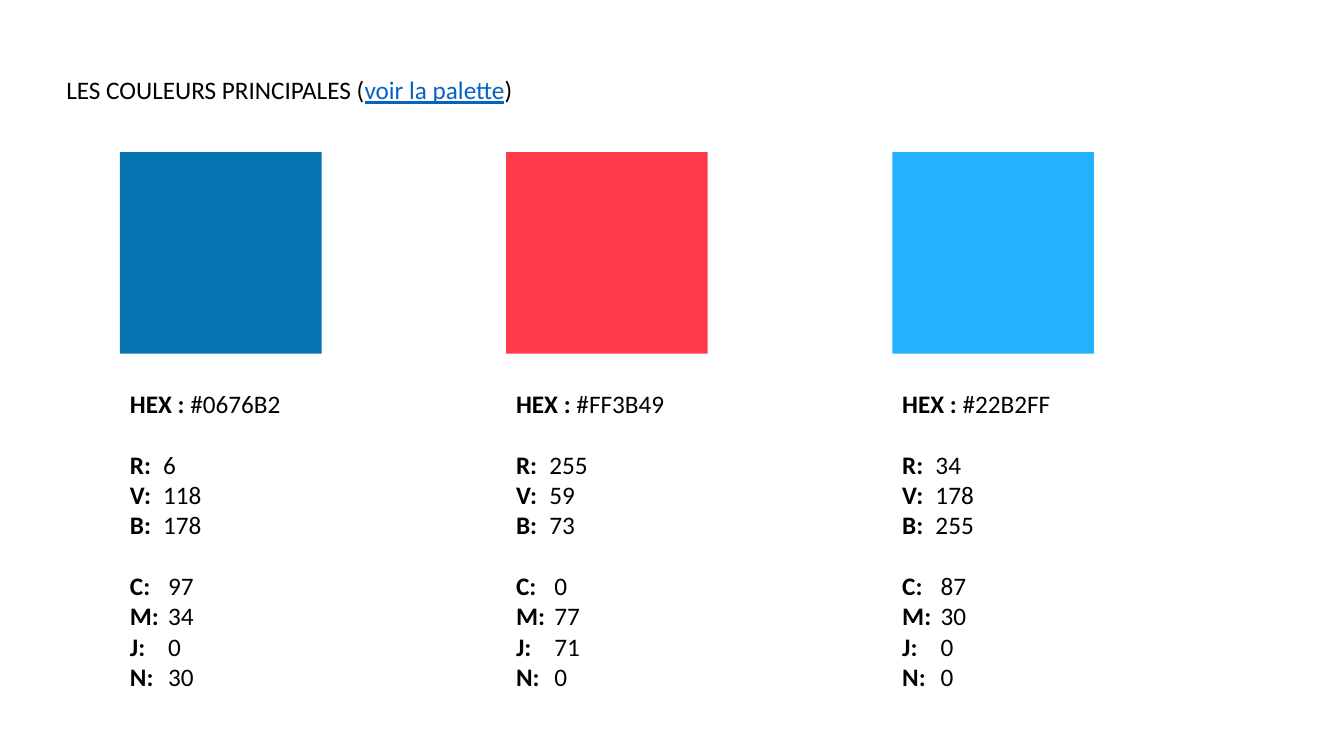
"""Build the slide of the three main colours with their HEX, RVB and CMJN values."""
import dataclasses

import lxml.etree
import pptx
import pptx.dml.color
import pptx.enum.shapes
import pptx.oxml.ns
import pptx.util

Inches = pptx.util.Inches


@dataclasses.dataclass
class Theme:
    font: str = "Calibri"
    size: int = 18
    line_gap: int = 22
    text: str = "000000"
    link: str = "0563C1"


theme = Theme()


def add_text_box(page, left, top, width, height):
    box = page.shapes.add_textbox(Inches(left), Inches(top), Inches(width), Inches(height))
    box.text_frame.word_wrap = True
    return box.text_frame


def add_span(para, text, color=theme.text, bold=False, underline=False):
    span = para.add_run()
    span.text = text
    span.font.name = theme.font
    span.font.size = pptx.util.Pt(theme.size)
    span.font.bold = bold
    span.font.underline = underline
    span.font.color.rgb = pptx.dml.color.RGBColor.from_string(color)


deck = pptx.Presentation()
deck.slide_width = Inches(13.33)
deck.slide_height = Inches(7.5)
page = deck.slides.add_slide(deck.slide_layouts[6])

title = add_text_box(page, 0.56, 0.69, 4.8, 0.4).paragraphs[0]
add_span(title, "LES COULEURS PRINCIPALES (")
add_span(title, "voir la palette", color=theme.link, underline=True)
add_span(title, ")")

swatches = [
    ("0676B2", (97, 34, 0, 30)),
    ("FF3B49", (0, 77, 71, 0)),
    ("22B2FF", (87, 30, 0, 0)),
]
for column, (code, cmyk) in enumerate(swatches):
    left = 1.19 + 3.83 * column
    color = pptx.dml.color.RGBColor.from_string(code)
    square = page.shapes.add_shape(
        pptx.enum.shapes.MSO_SHAPE.RECTANGLE, Inches(left), Inches(1.51), Inches(2), Inches(2)
    )
    square.shadow.inherit = False
    square.fill.solid()
    square.fill.fore_color.rgb = color
    square.line.fill.background()

    frame = add_text_box(page, left, 3.8, 3.15, 3.16)
    heading = frame.paragraphs[0]
    add_span(heading, "HEX :", bold=True)
    add_span(heading, f" #{code}")

    for letters, values, tab in (("RVB", color, 0.33), ("CMJN", cmyk, 0.38)):
        for row, (letter, value) in enumerate(zip(letters, values)):
            para = frame.add_paragraph()
            para.space_before = pptx.util.Pt(0 if row else theme.line_gap)
            properties = para._p.get_or_add_pPr()
            tabs = lxml.etree.SubElement(properties, pptx.oxml.ns.qn("a:tabLst"))
            lxml.etree.SubElement(tabs, pptx.oxml.ns.qn("a:tab"), pos=str(Inches(tab)), algn="l")
            add_span(para, f"{letter}:", bold=True)
            add_span(para, f"\t{value}")

deck.save("out.pptx")
